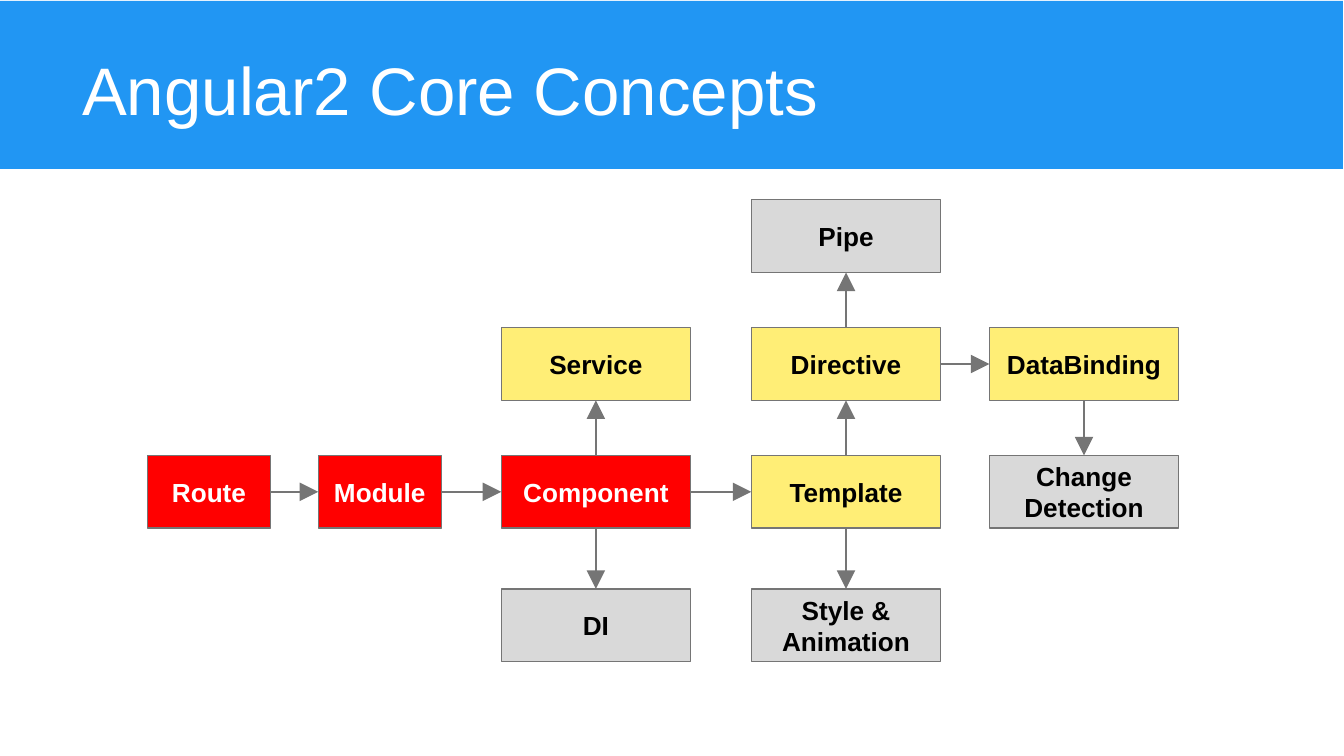
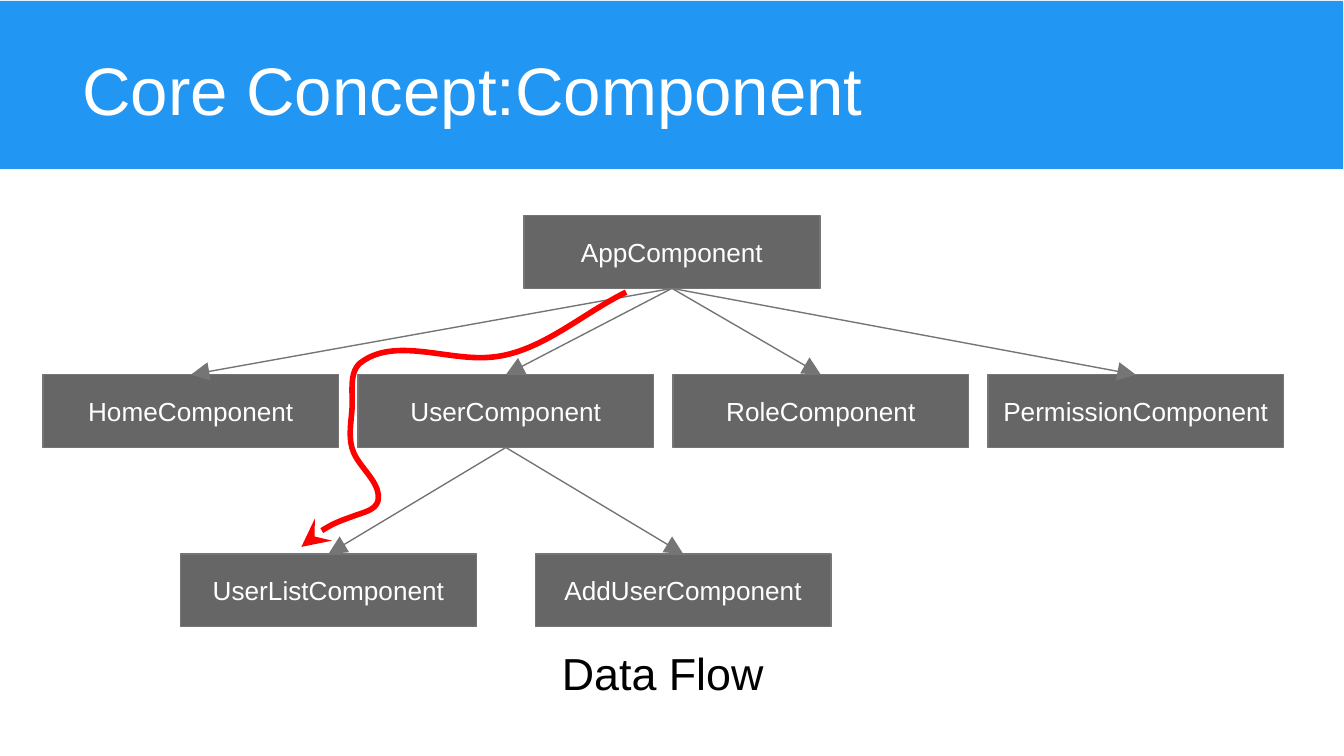
from dataclasses import dataclass

from lxml import etree
from pptx import Presentation
from pptx.dml.color import RGBColor
from pptx.enum import shapes, text
from pptx.oxml import ns
from pptx.util import Pt

BLUE = RGBColor(0x21, 0x96, 0xF3)
RED = RGBColor(0xFF, 0x00, 0x00)
YELLOW = RGBColor(0xFF, 0xEE, 0x76)
SILVER = RGBColor(0xD9, 0xD9, 0xD9)
CHARCOAL = RGBColor(0x66, 0x66, 0x66)
GREY = RGBColor(0x75, 0x75, 0x75)
WHITE = RGBColor(0xFF, 0xFF, 0xFF)
BLACK = RGBColor(0x00, 0x00, 0x00)

FONT = "Arial"
TOP, LEFT, BOTTOM, RIGHT = range(4)
BOX_H = 39
NARROW_W, WIDE_W, COMPONENT_W = 66, 101.5, 158.5
ROUTE_X, MODULE_X, COMPONENT_X, TEMPLATE_X, BINDING_X = 79, 170.5, 268.5, 402.5, 530
PIPE_Y, DIRECTIVE_Y, TEMPLATE_Y, STYLE_Y = 107, 175.5, 244, 315.5
APP_Y, PAGE_Y, CHILD_Y = 115.5, 200.75, 296.75
PAGE_X, PAGE_PITCH = 23, 168.75
CHILD_X, CHILD_PITCH = 96.75, 190


@dataclass(frozen=True)
class Box:
    label: str
    x: float
    y: float
    w: float
    fill: RGBColor
    color: RGBColor = BLACK
    bold: bool = True


@dataclass(frozen=True)
class Arrow:
    start: str
    side: int
    end: str


CONCEPTS = [
    Box("Route", ROUTE_X, TEMPLATE_Y, NARROW_W, RED, WHITE),
    Box("Module", MODULE_X, TEMPLATE_Y, NARROW_W, RED, WHITE),
    Box("Component", COMPONENT_X, TEMPLATE_Y, WIDE_W, RED, WHITE),
    Box("Service", COMPONENT_X, DIRECTIVE_Y, WIDE_W, YELLOW),
    Box("DI", COMPONENT_X, STYLE_Y, WIDE_W, SILVER),
    Box("Template", TEMPLATE_X, TEMPLATE_Y, WIDE_W, YELLOW),
    Box("Directive", TEMPLATE_X, DIRECTIVE_Y, WIDE_W, YELLOW),
    Box("Pipe", TEMPLATE_X, PIPE_Y, WIDE_W, SILVER),
    Box("Style & Animation", TEMPLATE_X, STYLE_Y, WIDE_W, SILVER),
    Box("DataBinding", BINDING_X, DIRECTIVE_Y, WIDE_W, YELLOW),
    Box("Change Detection", BINDING_X, TEMPLATE_Y, WIDE_W, SILVER),
]
CONCEPT_ARROWS = [
    Arrow("Route", RIGHT, "Module"),
    Arrow("Module", RIGHT, "Component"),
    Arrow("Component", RIGHT, "Template"),
    Arrow("Component", TOP, "Service"),
    Arrow("Component", BOTTOM, "DI"),
    Arrow("Template", TOP, "Directive"),
    Arrow("Template", BOTTOM, "Style & Animation"),
    Arrow("Directive", TOP, "Pipe"),
    Arrow("Directive", RIGHT, "DataBinding"),
    Arrow("DataBinding", BOTTOM, "Change Detection"),
]

APP = "AppComponent"
USER = "UserComponent"
PAGES = ["HomeComponent", USER, "RoleComponent", "PermissionComponent"]
CHILDREN = ["UserListComponent", "AddUserComponent"]
FLOW_CURVE = [
    (335.5, 156.5),
    (311, 168.5), (288.5, 190), (261.5, 191.5),
    (238.5, 193), (211, 180.5), (193, 194.5),
    (186.5, 200), (189.5, 211.5), (188.5, 220.5),
    (188, 227.5), (186.5, 235.5), (189.5, 242.5),
    (193.5, 251.5), (204.5, 259), (202.5, 268.5),
    (201, 273.5), (194.5, 274.5), (189.5, 276.5),
    (179.5, 280), (169, 285), (161.5, 293),
]


def write(sp, content: str, *, size: float, color: RGBColor, bold: bool = False,
          align=text.PP_ALIGN.CENTER, anchor=text.MSO_ANCHOR.MIDDLE) -> None:
    tf = sp.text_frame
    tf.word_wrap = True
    tf.vertical_anchor = anchor
    tf.margin_left = tf.margin_right = tf.margin_top = tf.margin_bottom = Pt(7.2)
    p = tf.paragraphs[0]
    p.alignment = align
    r = p.add_run()
    r.text = content
    r.font.name = FONT
    r.font.size = Pt(size)
    r.font.bold = bold
    r.font.color.rgb = color


def add_text(s, x: float, y: float, w: float, h: float, content: str, **style) -> None:
    write(s.shapes.add_textbox(Pt(x), Pt(y), Pt(w), Pt(h)), content, **style)


def add_rect(s, x: float, y: float, w: float, h: float, fill: RGBColor):
    sp = s.shapes.add_shape(shapes.MSO_SHAPE.RECTANGLE, Pt(x), Pt(y), Pt(w), Pt(h))
    sp.shadow.inherit = False
    sp.fill.solid()
    sp.fill.fore_color.rgb = fill
    return sp


def set_line(sp, color: RGBColor, width: float, tail: str = "") -> None:
    sp.line.color.rgb = color
    sp.line.width = Pt(width)
    if tail:
        ln = sp.line._get_or_add_ln()
        etree.SubElement(ln, ns.qn("a:tailEnd"), type=tail, w="lg", len="lg")


def add_boxes(s, boxes: list[Box]) -> dict:
    placed = {}
    for box in boxes:
        sp = add_rect(s, box.x, box.y, box.w, BOX_H, box.fill)
        set_line(sp, GREY, 0.75)
        write(sp, box.label, size=14, color=box.color, bold=box.bold)
        placed[box.label] = sp
    return placed


def add_arrows(s, arrows: list[Arrow], placed: dict) -> None:
    for arrow in arrows:
        cxn = s.shapes.add_connector(shapes.MSO_CONNECTOR.STRAIGHT, 0, 0, 0, 0)
        cxn.begin_connect(placed[arrow.start], arrow.side)
        cxn.end_connect(placed[arrow.end], (arrow.side + 2) % 4)
        set_line(cxn, GREY, 0.75, "triangle")
        etree.SubElement(cxn._element.spPr, ns.qn("a:effectLst"))


def add_curve(s, points: list[tuple[float, float]]) -> None:
    start, *controls = [(Pt(x), Pt(y)) for x, y in points]
    builder = s.shapes.build_freeform(*start)
    builder.add_line_segments(controls, close=False)
    sp = builder.convert_to_shape()
    sp.shadow.inherit = False
    sp.fill.background()
    set_line(sp, RED, 3, "stealth")
    outline = next(sp._element.iter(ns.qn("a:path")))
    steps = outline.findall(ns.qn("a:lnTo"))
    for i in range(0, len(steps), 3):
        bezier = etree.SubElement(outline, ns.qn("a:cubicBezTo"))
        for step in steps[i:i + 3]:
            bezier.append(step[0])
            outline.remove(step)


def add_slide(prs, title: str):
    s = prs.slides.add_slide(prs.slide_layouts[6])
    band = add_rect(s, -0.5, 0.5, 720, 90, BLUE)
    band.line.fill.background()
    add_text(s, 37, 8, 637, 68.5, title, size=36, color=WHITE,
             align=text.PP_ALIGN.LEFT, anchor=text.MSO_ANCHOR.BOTTOM)
    return s


def add_concepts(prs) -> None:
    s = add_slide(prs, "Angular2 Core Concepts")
    add_arrows(s, CONCEPT_ARROWS, add_boxes(s, CONCEPTS))


def component_row(labels: list[str], x: float, y: float, pitch: float = 0) -> list[Box]:
    return [Box(label, x + i * pitch, y, COMPONENT_W, CHARCOAL, WHITE, False)
            for i, label in enumerate(labels)]


def add_component_tree(prs) -> None:
    s = add_slide(prs, "Core Concept:Component")
    placed = add_boxes(s, component_row([APP], 280.75, APP_Y)
                       + component_row(PAGES, PAGE_X, PAGE_Y, PAGE_PITCH)
                       + component_row(CHILDREN, CHILD_X, CHILD_Y, CHILD_PITCH))
    add_arrows(s, [Arrow(APP, BOTTOM, page) for page in PAGES]
               + [Arrow(USER, BOTTOM, child) for child in CHILDREN], placed)
    add_text(s, 117.5, 339, 475, BOX_H, "Data Flow", size=24, color=BLACK,
             anchor=text.MSO_ANCHOR.TOP)
    add_curve(s, FLOW_CURVE)


def main() -> None:
    prs = Presentation()
    prs.slide_width = Pt(720)
    prs.slide_height = Pt(405)
    add_concepts(prs)
    add_component_tree(prs)
    prs.save("out.pptx")


if __name__ == "__main__":
    main()
